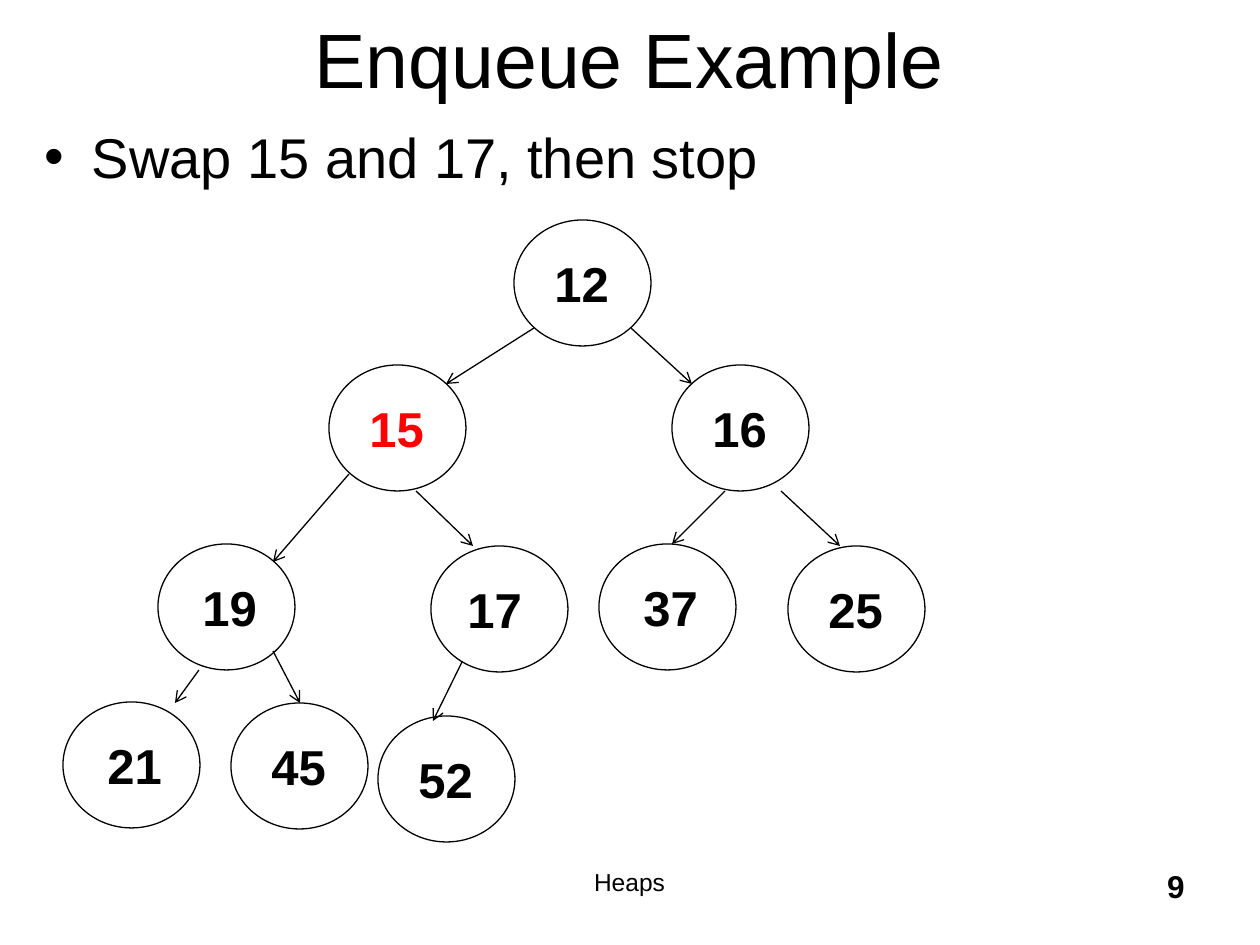
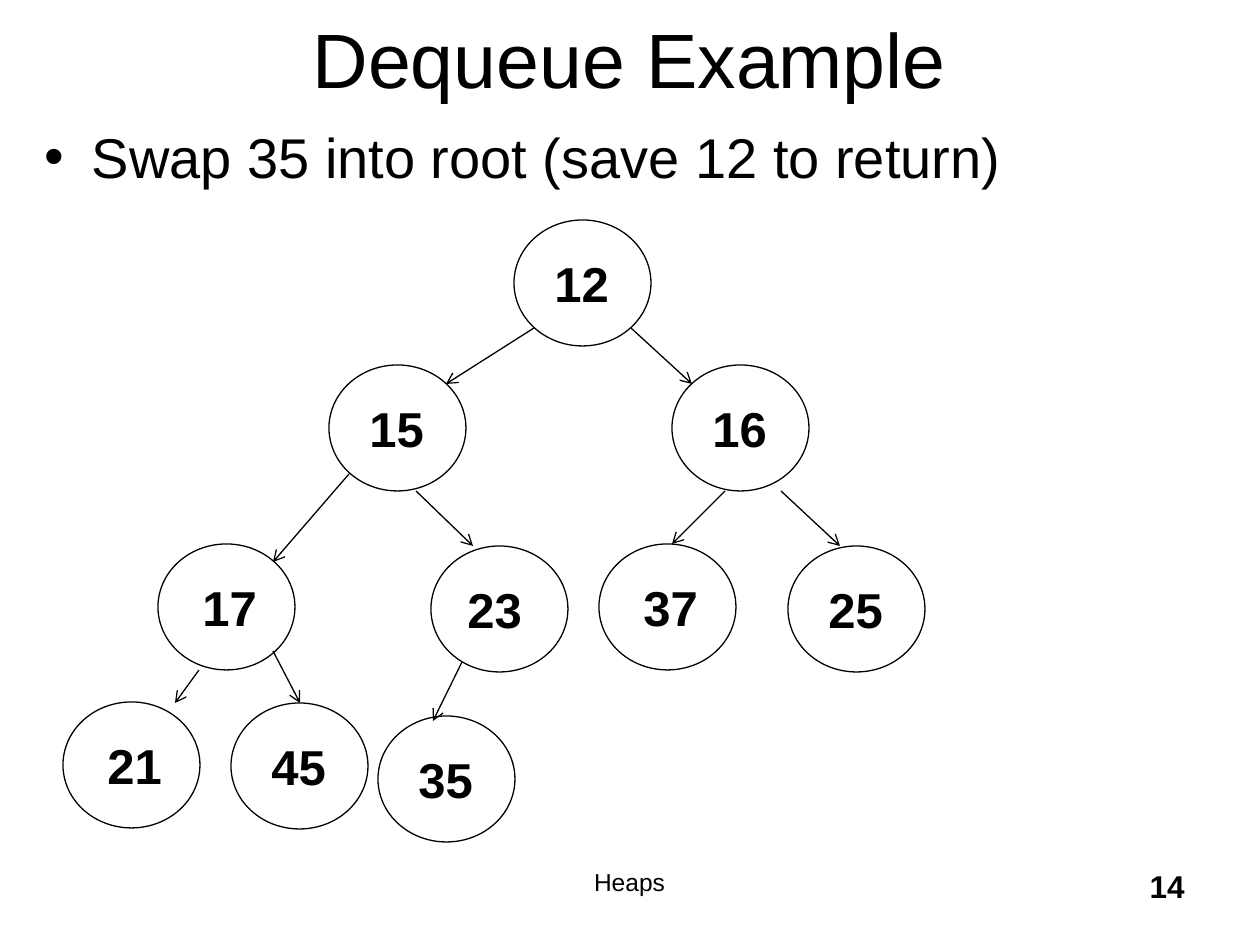
"""Builds two slides showing a heap as a binary tree: one enqueue step, one dequeue step."""
from dataclasses import dataclass

from lxml import etree
from pptx import Presentation
from pptx import util as u
from pptx.dml.color import RGBColor
from pptx.enum import shapes, text
from pptx.oxml.ns import qn

STEPS = [
    {"title": "Enqueue Example", "point": "Swap 15 and 17, then stop", "page": "9",
     "keys": [12, 15, 16, 19, 17, 37, 25, 21, 45, 52], "marked": 15},
    {"title": "Dequeue Example", "point": "Swap 35 into root (save 12 to return)", "page": "14",
     "keys": [12, 15, 16, 17, 23, 37, 25, 21, 45, 35], "marked": None},
]
FOOTER = "Heaps"

NODES = [(514, 220), (329, 365), (672, 365), (158, 544), (431, 546),
         (599, 544), (788, 546), (63, 702), (231, 703), (378, 716)]
LABEL_INDENTS = [28, 28, 28, 32, 24, 32, 28, 32, 28, 28]
LABEL_DROP = 27
NODE_SIZE = (137, 126)
LABEL_SIZE = (81, 72)
EDGES = [
    ((534, 328), (446, 384)), ((631, 328), (692, 384)),
    ((349, 474), (273, 562)), ((416, 491), (473, 546)),
    ((725, 491), (672, 544)), ((781, 491), (840, 546)),
    ((199, 670), (175, 703)), ((273, 651), (300, 703)),
    ((462, 662), (433, 721)),
]
SLIDE_SIZE = (1260, 945)
TITLE_BOX = (94, -21, 1071, 158)
BODY_BOX = (32, 116, 1197, 756)
FOOTER_BOX = (388, 861, 483, 63)
PAGE_BOX = (935, 861, 262, 63)


@dataclass(frozen=True)
class Theme:
    font: str = "Arial"
    ink: RGBColor = RGBColor(0, 0, 0)
    accent: RGBColor = RGBColor(255, 0, 0)
    title: int = 44
    body: int = 32
    label: int = 28
    page: int = 18
    footer: int = 14
    line: float = 0.75


THEME = Theme()
ALIGN = text.PP_ALIGN


def px(*lengths):
    return [round(length * u.Inches(1) / 126) for length in lengths]


def write(frame, words, size, align=ALIGN.LEFT, bold=False, color=THEME.ink):
    paragraph = frame.paragraphs[0]
    paragraph.alignment = align
    run = paragraph.add_run()
    run.text = words
    run.font.name, run.font.size, run.font.bold = THEME.font, u.Pt(size), bold
    run.font.color.rgb = color
    return paragraph


def fill_placeholder(holder, box, words, size, align, anchor):
    holder.left, holder.top, holder.width, holder.height = px(*box)
    holder.text_frame.auto_size = text.MSO_AUTO_SIZE.NONE
    holder.text_frame.vertical_anchor = anchor
    write(holder.text_frame, words, size, align)


def add_note(slide, box, words, size, align, bold=False):
    frame = slide.shapes.add_textbox(*px(*box)).text_frame
    frame.word_wrap = True
    write(frame, words, size, align, bold)


def add_node(slide, corner, indent, key, color):
    left, top = corner
    circle = slide.shapes.add_shape(shapes.MSO_SHAPE.OVAL, *px(left, top, *NODE_SIZE))
    circle.shadow.inherit = False
    circle.fill.background()
    circle.line.color.rgb, circle.line.width = THEME.ink, u.Pt(THEME.line)
    label = slide.shapes.add_textbox(*px(left + indent, top + LABEL_DROP, *LABEL_SIZE)).text_frame
    label.word_wrap = False
    label.auto_size = text.MSO_AUTO_SIZE.SHAPE_TO_FIT_TEXT
    paragraph = write(label, str(key), THEME.label, bold=True, color=color)
    paragraph.space_before = u.Pt(0)
    spacing = paragraph._p.pPr.find(qn("a:spcBef"))
    spacing.clear()
    etree.SubElement(spacing, qn("a:spcPct"), val="20000")


def add_edge(slide, start, end):
    edge = slide.shapes.add_connector(shapes.MSO_CONNECTOR.STRAIGHT, *px(*start, *end))
    edge.line.color.rgb, edge.line.width = THEME.ink, u.Pt(THEME.line)
    etree.SubElement(edge.line._get_or_add_ln(), qn("a:tailEnd"), type="arrow")
    etree.SubElement(edge._element.spPr, qn("a:effectLst"))


def build_slide(deck, step):
    slide = deck.slides.add_slide(deck.slide_layouts[1])
    fill_placeholder(slide.shapes.title, TITLE_BOX, step["title"], THEME.title,
                     ALIGN.CENTER, text.MSO_ANCHOR.MIDDLE)
    fill_placeholder(slide.placeholders[1], BODY_BOX, step["point"], THEME.body,
                     ALIGN.LEFT, text.MSO_ANCHOR.TOP)
    add_note(slide, FOOTER_BOX, FOOTER, THEME.footer, ALIGN.CENTER)
    add_note(slide, PAGE_BOX, step["page"], THEME.page, ALIGN.RIGHT, bold=True)
    for corner, indent, key in zip(NODES, LABEL_INDENTS, step["keys"]):
        add_node(slide, corner, indent, key, THEME.accent if key == step["marked"] else THEME.ink)
    for start, end in EDGES:
        add_edge(slide, start, end)


deck = Presentation()
deck.slide_width, deck.slide_height = px(*SLIDE_SIZE)
for step in STEPS:
    build_slide(deck, step)
deck.save("out.pptx")
